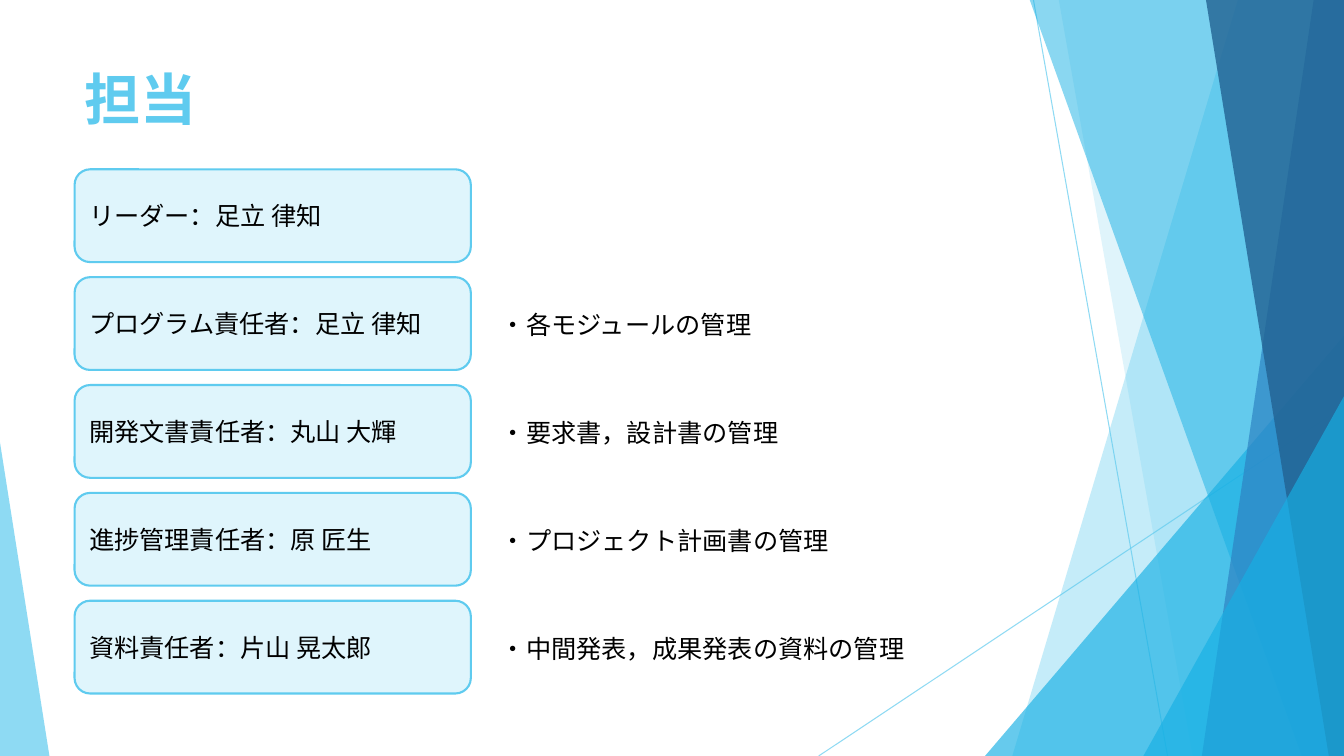
import pptx
import pptx.util
import pptx.dml.color
import pptx.enum.shapes
import pptx.enum.text
import pptx.oxml
import pptx.oxml.ns
from pptx.util import Inches

COLOURS = {
    "sky": "5FCBEF",
    "cyan": "17B0E4",
    "blue": "2E83C3",
    "navy": "226292",
    "pale": "DFF5FC",
    "black": "000000",
}
FONT = "Noto Sans CJK JP"
WIDTH, HEIGHT = 13.33, 7.5

MEMBERS = [
    "リーダー：足立 律知",
    "プログラム責任者：足立 律知",
    "開発文書責任者：丸山 大輝",
    "進捗管理責任者：原 匠生",
    "資料責任者：片山 晃太郎",
]
# Runs of text and font, by row
DUTIES = {
    1: [("・各モジュールの管理", FONT)],
    2: [("・要求書，設計書の管理", FONT)],
    3: [("・", "Cabin"), ("プロジェクト計画書の管理", FONT)],
    4: [("・中間発表，成果発表の資料の管理", FONT)],
}
FIRST_ROW, ROW_PITCH = 1.68, 1.07


def rgb(name):
    return pptx.dml.color.RGBColor.from_string(COLOURS[name])


def set_opacity(element, percent):
    colour = element.find(".//" + pptx.oxml.ns.qn("a:srgbClr"))
    alpha = pptx.oxml.parse_xml(
        f'<a:alpha {pptx.oxml.ns.nsdecls("a")} val="{percent * 1000}"/>')
    colour.append(alpha)


def paint(shape, colour, opacity):
    shape.shadow.inherit = False
    shape.line.fill.background()
    shape.fill.solid()
    shape.fill.fore_color.rgb = rgb(colour)
    set_opacity(shape.fill._xPr, opacity)


def add_thin_line(page, start, end):
    line = page.shapes.add_connector(
        pptx.enum.shapes.MSO_CONNECTOR.STRAIGHT,
        *(Inches(value) for value in start + end))
    line.line.width = pptx.util.Pt(0.75)
    line.line.color.rgb = rgb("sky")
    properties = line._element.spPr
    set_opacity(properties, 70)
    properties.append(pptx.oxml.parse_xml(
        f'<a:effectLst {pptx.oxml.ns.nsdecls("a")}/>'))


def add_facet(page, top_x, bottom_x, colour, opacity):
    """Band from a slanted left edge to the right edge of the slide."""
    top = -0.01
    builder = page.shapes.build_freeform(
        Inches(top_x), Inches(top), scale=1.0)
    corners = [(WIDTH, top), (WIDTH, HEIGHT), (bottom_x, HEIGHT)]
    builder.add_line_segments(
        [(Inches(x), Inches(y)) for x, y in corners], close=True)
    paint(builder.convert_to_shape(), colour, opacity)


def add_triangle(page, left, top, width, apex, colour, opacity):
    """Triangle standing on the bottom edge of the slide."""
    triangle = page.shapes.add_shape(
        pptx.enum.shapes.MSO_SHAPE.ISOSCELES_TRIANGLE,
        Inches(left), Inches(top), Inches(width), Inches(HEIGHT - top))
    triangle.adjustments[0] = apex
    paint(triangle, colour, opacity)


def add_span(para, text, size=18, colour="black", font=FONT, bold=False):
    span = para.add_run()
    span.text = text
    span.font.size = pptx.util.Pt(size)
    span.font.bold = bold
    span.font.name = font
    span.font.color.rgb = rgb(colour)
    east_asian = pptx.oxml.parse_xml(
        f'<a:ea {pptx.oxml.ns.nsdecls("a")} typeface="{font}"/>')
    span.font._element.find(pptx.oxml.ns.qn("a:latin")).addnext(east_asian)


def add_title(page, text):
    title = page.shapes.title
    title.left, title.top = Inches(0.74), Inches(0.67)
    title.width, title.height = Inches(9.4), Inches(1.44)
    frame = title.text_frame
    frame.auto_size = pptx.enum.text.MSO_AUTO_SIZE.NONE
    frame.vertical_anchor = pptx.enum.text.MSO_ANCHOR.TOP
    para = frame.paragraphs[0]
    para.alignment = pptx.enum.text.PP_ALIGN.LEFT
    para.line_spacing = 0.9
    add_span(para, text, size=40, colour="sky", bold=True)


def add_member(page, top, text):
    box = page.shapes.add_shape(
        pptx.enum.shapes.MSO_SHAPE.ROUNDED_RECTANGLE,
        Inches(0.74), Inches(top), Inches(3.93), Inches(0.92))
    box.shadow.inherit = False
    box.fill.solid()
    box.fill.fore_color.rgb = rgb("pale")
    box.line.color.rgb = rgb("sky")
    box.line.width = pptx.util.Pt(1.5)
    box.text_frame.vertical_anchor = pptx.enum.text.MSO_ANCHOR.MIDDLE
    para = box.text_frame.paragraphs[0]
    para.alignment = pptx.enum.text.PP_ALIGN.LEFT
    add_span(para, text)


def add_duty(page, top, spans):
    box = page.shapes.add_textbox(
        Inches(4.87), Inches(top), Inches(4.59), Inches(0.4))
    box.text_frame.word_wrap = True
    para = box.text_frame.paragraphs[0]
    for text, font in spans:
        add_span(para, text, font=font)


def add_backdrop(page):
    add_thin_line(page, (10.25, 0), (11.58, HEIGHT))
    add_thin_line(page, (WIDTH, 4.03), (8.12, HEIGHT))
    add_facet(page, 12.28, 10.04, "sky", 36)
    add_facet(page, 10.5, 11.83, "sky", 20)
    add_triangle(page, 9.77, 3.33, 3.56, 1, "cyan", 66)
    add_facet(page, 10.21, 12.91, "cyan", 50)
    add_facet(page, 13.03, 11.92, "blue", 70)
    add_facet(page, 11.96, 13.18, "navy", 80)
    add_triangle(page, 11.34, 3.93, 1.99, 1, "cyan", 66)
    add_triangle(page, 0, 4.39, 0.49, 0, "sky", 70)


def main():
    deck = pptx.Presentation()
    deck.slide_width, deck.slide_height = Inches(WIDTH), Inches(HEIGHT)
    page = deck.slides.add_slide(deck.slide_layouts.get_by_name("Title Only"))

    # Faceted backdrop and heading
    add_backdrop(page)
    add_title(page, "担当")

    # One row per member, with the duty beside it
    for row, member in enumerate(MEMBERS):
        top = FIRST_ROW + row * ROW_PITCH
        add_member(page, top, member)
        if row in DUTIES:
            add_duty(page, top + 0.27, DUTIES[row])

    deck.save("out.pptx")


if __name__ == "__main__":
    main()
